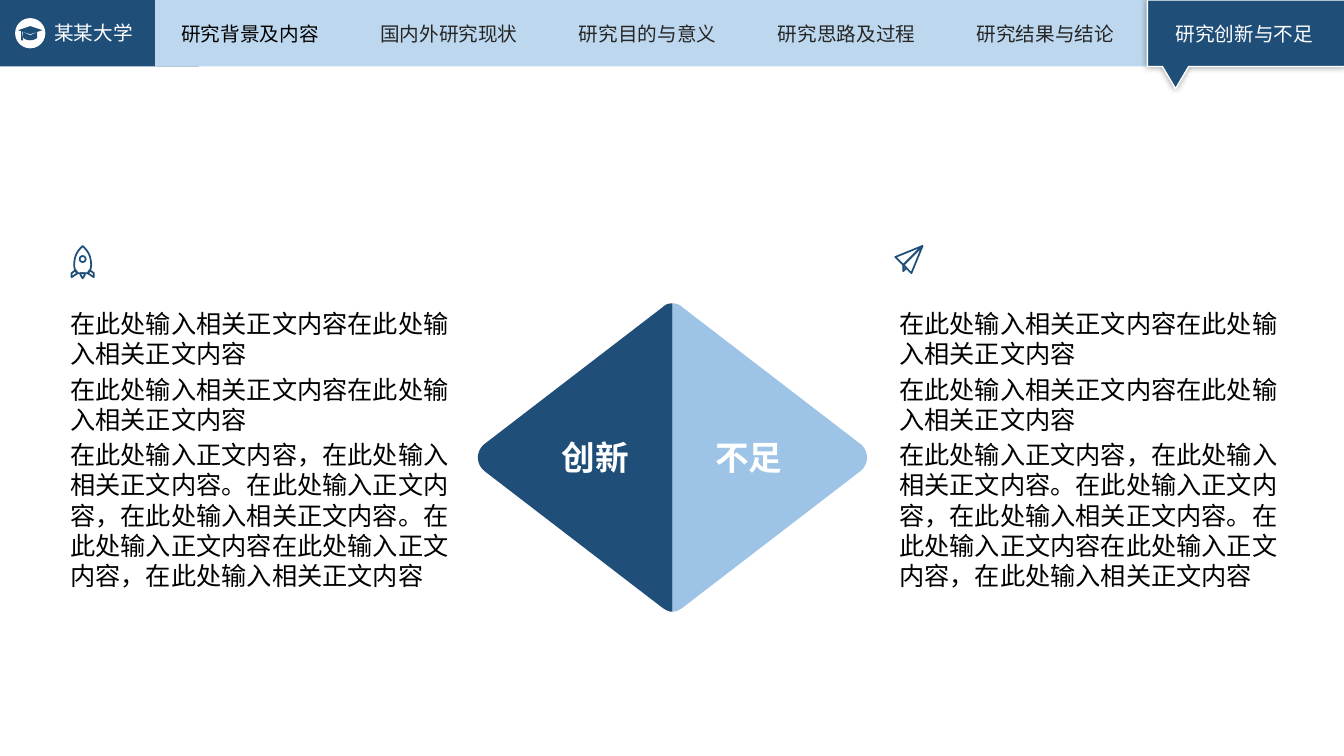
from lxml import etree
from pptx import Presentation
from pptx import util as u
from pptx.dml.color import RGBColor
from pptx.enum import shapes, text
from pptx.oxml.ns import qn

FONT = "Noto Sans CJK SC"
NAVY, PALE, SKY, WHITE, BLACK, GREY = "1F4E79", "BDD7EE", "9DC3E6", "FFFFFF", "000000", "262626"
TABS = ["研究背景及内容", "国内外研究现状", "研究目的与意义",
        "研究思路及过程", "研究结果与结论", "研究创新与不足"]
BODY = ["在此处输入相关正文内容在此处输入相关正文内容"] * 2 + [
    "在此处输入正文内容，在此处输入相关正文内容。在此处输入正文内容，"
    "在此处输入相关正文内容。在此处输入正文内容在此处输入正文内容，在此处输入相关正文内容"]
TAB_WIDTH, BAR_HEIGHT = 1.97, 0.66


def colour(value):
    return RGBColor.from_string(value)


def paint(shape, fill=None, line=None, weight=1):
    shape.shadow.inherit = False
    if fill:
        shape.fill.solid()
        shape.fill.fore_color.rgb = colour(fill)
    else:
        shape.fill.background()
    if line:
        shape.line.color.rgb = colour(line)
        shape.line.width = u.Pt(weight)
    else:
        shape.line.fill.background()
    return shape


def add_preset(slide, kind, box, **style):
    return paint(slide.shapes.add_shape(kind, *map(u.Inches, box)), **style)


def flatten(outline, steps=10):
    """Turn an outline of points and (control, control, end) curves into points."""
    points = [outline[0]]
    for part in outline[1:]:
        if len(part) == 2:
            points.append(part)
            continue
        curve = [points[-1], *part]
        for step in range(1, steps + 1):
            t = step / steps
            weights = ((1 - t) ** 3, 3 * t * (1 - t) ** 2, 3 * t * t * (1 - t), t ** 3)
            points.append(tuple(sum(w * p[axis] for w, p in zip(weights, curve))
                                for axis in (0, 1)))
    return points


def add_outline(slide, *outlines, **style):
    builder = None
    for outline in outlines:
        points = [(u.Inches(x), u.Inches(y)) for x, y in flatten(outline)]
        if builder is None:
            builder = slide.shapes.build_freeform(*points[0])
        else:
            builder.move_to(*points[0])
        builder.add_line_segments(points[1:], close=True)
    return paint(builder.convert_to_shape(), **style)


def add_text(slide, box, paragraphs, size=14, ink=BLACK, bold=False,
             align=text.PP_ALIGN.LEFT, wrap=False, before=0):
    frame = slide.shapes.add_textbox(*map(u.Inches, box)).text_frame
    frame.word_wrap = wrap
    frame.auto_size = text.MSO_AUTO_SIZE.SHAPE_TO_FIT_TEXT
    for index, wording in enumerate(paragraphs):
        paragraph = frame.paragraphs[0] if index == 0 else frame.add_paragraph()
        paragraph.alignment = align
        paragraph.line_spacing = u.Pt(size * 1.2)
        paragraph.space_before = u.Pt(before)
        run = paragraph.add_run()
        run.text = wording
        run.font.name = FONT
        run.font.size = u.Pt(size)
        run.font.bold = bold
        run.font.color.rgb = colour(ink)
        etree.SubElement(run.font._element, qn("a:ea"), typeface=FONT)


def add_glow_shadow(shape, blur, opacity):
    effects = shape._element.spPr.find(qn("a:effectLst"))
    shadow = etree.SubElement(effects, qn("a:outerShdw"), blurRad=str(u.Pt(blur)),
                              dist="0", dir="0", algn="ctr", rotWithShape="0")
    ink = etree.SubElement(shadow, qn("a:srgbClr"), val=BLACK)
    etree.SubElement(ink, qn("a:alpha"), val=str(opacity * 1000))


def add_navigation(slide):
    rectangle = shapes.MSO_SHAPE.RECTANGLE
    add_preset(slide, rectangle, (0, 0, TAB_WIDTH, BAR_HEIGHT), fill=NAVY)
    for index in range(len(TABS)):
        add_preset(slide, rectangle, (1.54 + 1.966 * index, 0, TAB_WIDTH, BAR_HEIGHT), fill=PALE)
    # Current section, with its pointer
    current = add_outline(slide, [(11.38, 0), (13.34, 0), (13.34, BAR_HEIGHT), (11.79, BAR_HEIGHT),
                                  (11.66, 0.88), (11.53, BAR_HEIGHT), (11.38, BAR_HEIGHT)],
                          fill=NAVY, line=WHITE)
    add_glow_shadow(current, blur=5, opacity=40)
    inks = [BLACK] + [GREY] * 4 + [WHITE]
    for index, (title, ink) in enumerate(zip(TABS, inks)):
        add_text(slide, (1.7 + 1.972 * index, 0.17, 1.58, 0.34), [title], ink=ink)


def add_school(slide):
    add_preset(slide, shapes.MSO_SHAPE.OVAL, (0.15, 0.18, 0.3, 0.3), fill=WHITE)
    # Graduation cap: board, crown and tassel
    add_outline(slide,
                [(0.18, 0.3), (0.3, 0.26), (0.42, 0.3), (0.3, 0.34)],
                [(0.23, 0.32), (0.3, 0.35), (0.37, 0.32), (0.37, 0.37),
                 ((0.37, 0.38), (0.34, 0.4), (0.3, 0.4)),
                 ((0.26, 0.4), (0.23, 0.38), (0.23, 0.37))],
                [(0.21, 0.31), (0.22, 0.31), (0.23, 0.4), (0.21, 0.4)], fill=NAVY)
    add_text(slide, (0.44, 0.16, 0.99, 0.34), ["某某大学"], ink=WHITE)


def add_diamond_half(slide, side, fill):
    """Draw the half to the left (side -1) or right (side 1) of the middle."""
    def at(dx, y):
        return 6.67 + side * dx, y
    add_outline(slide, [at(0, 3.01), (at(0.04, 3.01), at(0.07, 3.02), at(0.1, 3.05)),
                        at(1.87, 4.41), (at(1.95, 4.48), at(1.95, 4.6), at(1.87, 4.67)),
                        at(0.1, 6.03), (at(0.07, 6.05), at(0.04, 6.07), at(0, 6.07))], fill=fill)


def add_rocket(slide):
    def fin(side):
        return [(0.82 + side * dx, y) for dx, y in
                ((0.07, 2.68), (0.11, 2.71), (0.11, 2.75), (0.05, 2.71))]
    hull = [(0.82, 2.44), ((0.85, 2.47), (0.89, 2.51), (0.9, 2.58)),
            ((0.91, 2.63), (0.9, 2.67), (0.89, 2.69)), (0.87, 2.71), (0.77, 2.71),
            (0.75, 2.69), ((0.74, 2.67), (0.73, 2.63), (0.74, 2.58)),
            ((0.75, 2.51), (0.79, 2.47), (0.82, 2.44))]
    flame = [(0.8, 2.71), (0.84, 2.71), (0.84, 2.73), (0.82, 2.76), (0.8, 2.73)]
    add_outline(slide, hull, fin(-1), fin(1), flame, line=NAVY, weight=1.25)
    add_preset(slide, shapes.MSO_SHAPE.OVAL, (0.79, 2.54, 0.06, 0.06), line=NAVY, weight=1.25)


def add_paper_plane(slide):
    nose = (9.15, 2.44)
    add_outline(slide, [nose, (8.88, 2.55), (8.96, 2.63)],
                [nose, (8.96, 2.63), (9.04, 2.71)],
                [(8.96, 2.63), (8.99, 2.66), (8.96, 2.69)], line=NAVY, weight=1.25)


def main():
    deck = Presentation()
    deck.slide_width, deck.slide_height = u.Inches(13.33), u.Inches(7.5)
    slide = deck.slides.add_slide(deck.slide_layouts[6])

    # Top bar
    add_navigation(slide)
    add_school(slide)

    # Diamond in the middle
    for side, fill, label, left in ((1, SKY, "不足", 6.98), (-1, NAVY, "创新", 5.46)):
        add_diamond_half(slide, side, fill)
        add_text(slide, (left, 4.29, 0.89, 0.5), [label], size=24, ink=WHITE,
                 bold=True, align=text.PP_ALIGN.CENTER)

    # Text on both sides, each under its icon
    for left in (0.6, 8.82):
        add_text(slide, (left, 3.01, 4.06, 2.95), BODY, size=18, wrap=True, before=3.6)
    add_rocket(slide)
    add_paper_plane(slide)

    deck.save("out.pptx")


if __name__ == "__main__":
    main()
